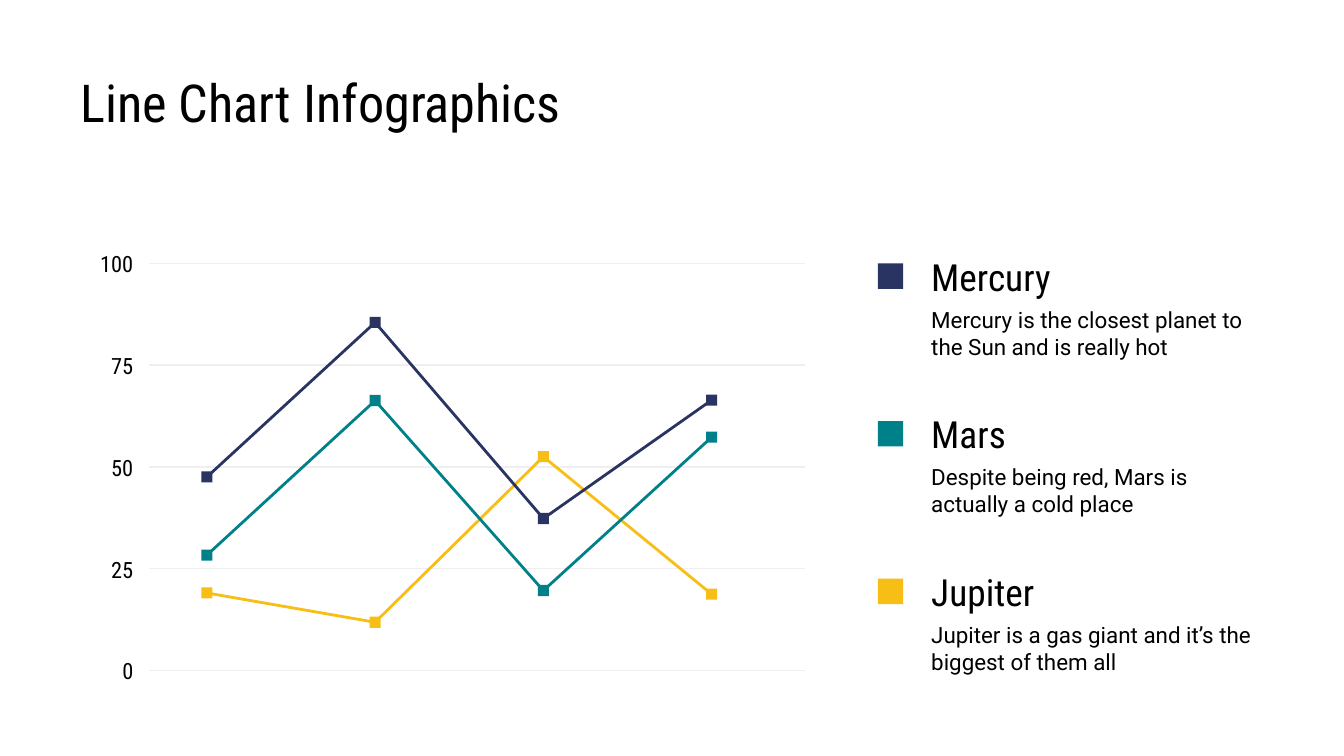
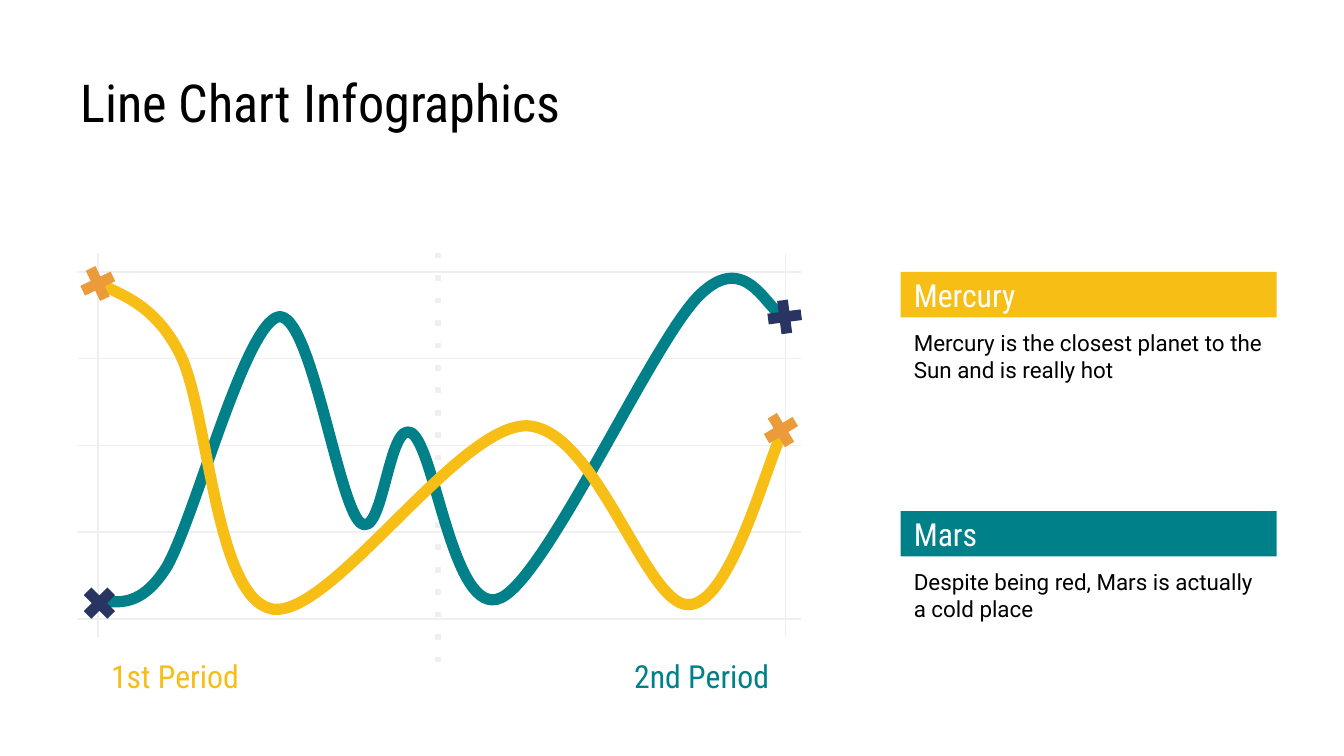
from lxml.etree import SubElement
from pptx import Presentation
from pptx.dml.color import RGBColor
from pptx.enum.dml import MSO_LINE
from pptx.enum.shapes import MSO_CONNECTOR, MSO_SHAPE
from pptx.enum.text import MSO_ANCHOR, PP_ALIGN
from pptx.oxml.ns import qn
from pptx.util import Cm, Pt

BLACK = RGBColor(0x00, 0x00, 0x00)
WHITE = RGBColor(0xFF, 0xFF, 0xFF)
GRID = RGBColor(0xEF, 0xEF, 0xEF)
NAVY = RGBColor(0x29, 0x34, 0x62)
TEAL = RGBColor(0x00, 0x81, 0x8A)
YELLOW = RGBColor(0xF7, 0xBE, 0x16)
ORANGE = RGBColor(0xEC, 0x9B, 0x3B)
HEAD_FONT = "Roboto Condensed"
BODY_FONT = "Roboto"

TITLE = "Line Chart Infographics"
MERCURY_TEXT = "Mercury is the closest planet to the Sun and is really hot"
MARS_TEXT = "Despite being red, Mars is actually a cold place"
JUPITER_TEXT = "Jupiter is a gas giant and it’s the biggest of them all"

# Slide 1: name, text, colour, values
PLANETS = [
    ("Mercury", MERCURY_TEXT, NAVY, (47.5, 85.5, 37.3, 66.4)),
    ("Mars", MARS_TEXT, TEAL, (28.3, 66.3, 19.6, 57.3)),
    ("Jupiter", JUPITER_TEXT, YELLOW, (19, 11.8, 52.5, 18.7)),
]
AXIS_VALUES = (100, 75, 50, 25, 0)
PLOT_LEFT, PLOT_RIGHT, PLOT_TOP, PLOT_BOTTOM = 2.82, 15.21, 4.98, 12.67
FIRST_POINT, POINT_STEP, MARKER = 3.91, 3.18, 0.21
LEGEND_STEP = 2.98

# Slide 2: name, text, colour, top
CARDS = [
    ("Mercury", MERCURY_TEXT, YELLOW, 5.14),
    ("Mars", MARS_TEXT, TEAL, 9.66),
]
PERIODS = [
    ("1st Period", YELLOW, 1.85, PP_ALIGN.LEFT),
    ("2nd Period", TEAL, 10.57, PP_ALIGN.RIGHT),
]
# colour, frame (left, top, width, height), start, Bezier segments
CURVES = [
    (TEAL, (1.91, 5.26, 12.88, 6.17), (1.91, 11.4), [
        ((2.11, 11.3), (2.59, 11.61), (3.15, 10.72)),
        ((3.68, 9.8), (4.62, 6.15), (5.26, 5.99)),
        ((5.87, 5.87), (6.38, 9.5), (6.81, 9.88)),
        ((7.24, 10.24), (7.34, 7.95), (7.77, 8.18)),
        ((8.23, 8.43), (8.56, 11.73), (9.47, 11.3)),
        ((10.36, 10.87), (12.32, 6.48), (13.21, 5.59)),
        ((14.1, 4.7), (14.5, 5.89), (14.78, 5.94)),
    ]),
    (YELLOW, (1.83, 5.31, 12.98, 6.22), (1.83, 5.31), [
        ((2.08, 5.54), (2.84, 5.61), (3.38, 6.65)),
        ((3.94, 7.67), (4.04, 11.28), (5.13, 11.51)),
        ((6.22, 11.73), (8.61, 8.08), (9.93, 8.05)),
        ((11.25, 8.05), (12.19, 11.43), (13, 11.43)),
        ((13.82, 11.46), (14.5, 8.69), (14.81, 8.13)),
    ]),
]
# colour, centre x, centre y, rotation
CROSSES = [
    (ORANGE, 1.85, 5.36, 334.7),
    (ORANGE, 14.76, 8.13, 329.1),
    (NAVY, 1.88, 11.4, 315),
    (NAVY, 14.83, 5.99, 352.5),
]
CROSS_SIZE = 0.86


def write(shape, text, size, font, color, align, anchor):
    frame = shape.text_frame
    frame.word_wrap = True
    frame.vertical_anchor = anchor
    frame.margin_left = frame.margin_right = Cm(0.25)
    frame.margin_top = frame.margin_bottom = Cm(0.25)
    paragraph = frame.paragraphs[0]
    paragraph.alignment = align
    run = paragraph.add_run()
    run.text = text
    run.font.size = Pt(size)
    run.font.name = font
    run.font.color.rgb = color


def add_text(slide, box, text, size, font=HEAD_FONT, color=BLACK,
             align=PP_ALIGN.LEFT, anchor=MSO_ANCHOR.MIDDLE):
    shape = slide.shapes.add_textbox(*map(Cm, box))
    write(shape, text, size, font, color, align, anchor)


def add_block(slide, box, color, kind=MSO_SHAPE.RECTANGLE):
    shape = slide.shapes.add_shape(kind, *map(Cm, box))
    shape.shadow.inherit = False
    shape.fill.solid()
    shape.fill.fore_color.rgb = color
    shape.line.fill.background()
    return shape


def add_grid_line(slide, x1, y1, x2, y2, width=0.75, dotted=False):
    line = slide.shapes.add_connector(
        MSO_CONNECTOR.STRAIGHT, Cm(x1), Cm(y1), Cm(x2), Cm(y2))
    line.line.color.rgb = GRID
    line.line.width = Pt(width)
    properties = line._element.spPr
    if dotted:
        line.line.dash_style = MSO_LINE.DASH
        properties.find(".//" + qn("a:prstDash")).set("val", "dot")
    SubElement(properties, qn("a:effectLst"))


def add_outline(slide, points, color, width):
    corners = [(Cm(x), Cm(y)) for x, y in points]
    builder = slide.shapes.build_freeform(*corners[0])
    builder.add_line_segments(corners[1:], close=False)
    shape = builder.convert_to_shape()
    shape.shadow.inherit = False
    shape.fill.background()
    shape.line.color.rgb = color
    shape.line.width = Pt(width)
    return shape


def add_curve(slide, color, frame, start, segments):
    """Span the frame with an outline, then swap its line for Bezier segments."""
    left, top, width, height = frame
    shape = add_outline(slide, [(left, top), (left + width, top + height)], color, 6)
    outline = shape._element.spPr.find(".//" + qn("a:path"))
    for step in list(outline):
        outline.remove(step)
    steps = [("a:moveTo", [start])] + [("a:cubicBezTo", s) for s in segments]
    for tag, points in steps:
        step = SubElement(outline, qn(tag))
        for x, y in points:
            SubElement(step, qn("a:pt"), x=str(Cm(x - left)), y=str(Cm(y - top)))


def add_slide(presentation):
    slide = presentation.slides.add_slide(presentation.slide_layouts[6])
    add_text(slide, (1.27, 1.07, 22.86, 1.6), TITLE, 28, anchor=MSO_ANCHOR.TOP)
    return slide


def value_y(value):
    return PLOT_BOTTOM - (PLOT_BOTTOM - PLOT_TOP) * value / 100


def build_planet_lines(presentation):
    slide = add_slide(presentation)
    for value in AXIS_VALUES:
        y = value_y(value)
        add_grid_line(slide, PLOT_LEFT, y, PLOT_RIGHT, y)
        add_text(slide, (1.47, y - 0.41, 1.3, 0.84), str(value), 12,
                 align=PP_ALIGN.RIGHT)

    for name, text, color, values in reversed(PLANETS):
        points = [(FIRST_POINT + i * POINT_STEP, value_y(value))
                  for i, value in enumerate(values)]
        add_outline(slide, points, color, 1.5)
        for x, y in points:
            add_block(slide, (x - MARKER / 2, y - MARKER / 2, MARKER, MARKER), color)

    for i, (name, text, color, values) in enumerate(PLANETS):
        top = PLOT_TOP + i * LEGEND_STEP
        add_block(slide, (16.59, top, 0.48, 0.48), color)
        add_text(slide, (17.35, top - 0.18, 6.78, 0.84), name, 20)
        add_text(slide, (17.35, top + 0.61, 6.78, 1.4), text, 12, BODY_FONT)


def build_period_curves(presentation):
    slide = add_slide(presentation)
    add_grid_line(slide, 8.28, 4.78, 8.28, 12.52, width=3, dotted=True)
    for i in range(5):
        y = 5.14 + i * 1.64
        add_grid_line(slide, 1.45, y, 15.14, y)
    for x in (1.85, 14.85):
        add_grid_line(slide, x, 4.78, x, 12.04)

    for text, color, left, align in PERIODS:
        add_text(slide, (left, 12.34, 4.22, 0.86), text, 17, color=color, align=align)
    for curve in CURVES:
        add_curve(slide, *curve)
    for color, x, y, rotation in CROSSES:
        box = (x - CROSS_SIZE / 2, y - CROSS_SIZE / 2, CROSS_SIZE, CROSS_SIZE)
        cross = add_block(slide, box, color, MSO_SHAPE.MATH_PLUS)
        cross.adjustments[0] = 0.235
        cross.rotation = rotation

    for name, text, color, top in CARDS:
        band = add_block(slide, (17.02, top, 7.11, 0.86), color)
        write(band, name, 17, HEAD_FONT, WHITE, PP_ALIGN.LEFT, MSO_ANCHOR.MIDDLE)
        add_text(slide, (17.02, top + 0.87, 7.11, 1.45), text, 12, BODY_FONT)


def main():
    presentation = Presentation()
    presentation.slide_width = Cm(25.4)
    presentation.slide_height = Cm(14.29)
    build_planet_lines(presentation)
    build_period_curves(presentation)
    presentation.save("out.pptx")


if __name__ == "__main__":
    main()
